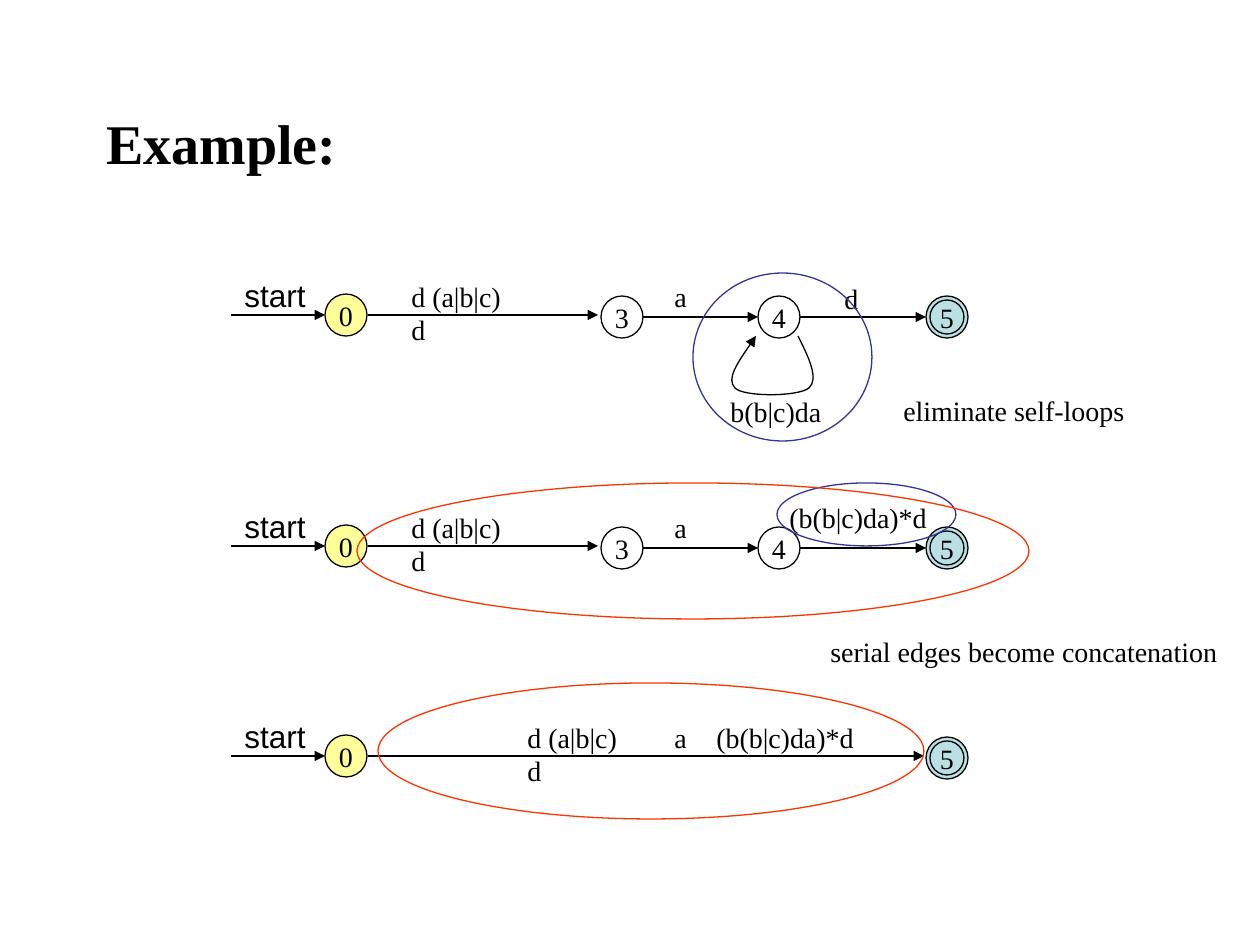
from lxml.etree import SubElement
from pptx import Presentation
from pptx.dml.color import RGBColor
from pptx.enum.shapes import MSO_CONNECTOR as CONN, MSO_SHAPE as SHAPE
from pptx.enum.text import MSO_ANCHOR as ANCHOR, MSO_AUTO_SIZE as FIT, PP_ALIGN as ALIGN
from pptx.oxml.ns import qn
from pptx.util import Inches, Pt

PX = Inches(1) // 126
THEME = dict(
    ink="000000", start="FFFF99", final="BBE0E3", loop="333399", chain="FF3300",
    serif="Times New Roman", sans="Arial", title=32, label=16, entry=18, line=0.74,
)


def px(*values):
    return [v * PX for v in values]


class Diagram:
    def __init__(self, slide, theme):
        self.s, self.t = slide, theme

    def color(self, name):
        return RGBColor.from_string(self.t[name])

    def set_text(self, sp, text, size="label", font="serif", bold=False,
                 anchor=ANCHOR.TOP, align=ALIGN.LEFT, wrap=False, fit=FIT.NONE):
        tf = sp.text_frame
        frame = dict(word_wrap=wrap, auto_size=fit, vertical_anchor=anchor)
        for key, value in frame.items():
            setattr(tf, key, value)
        p = tf.paragraphs[0]
        p.alignment = align
        r = p.add_run()
        r.text = text
        style = dict(name=self.t[font], size=Pt(self.t[size]), bold=bold)
        for key, value in style.items():
            setattr(r.font, key, value)
        r.font.color.rgb = self.color("ink")

    def text(self, x, y, w, h, text, **style):
        self.set_text(self.s.shapes.add_textbox(*px(x, y, w, h)), text, **style)

    def label(self, x, y, w, text, h=46, **style):
        self.text(x, y, w, h, text, fit=FIT.SHAPE_TO_FIT_TEXT, **style)

    def stroke(self, sp, color="ink", arrow=False):
        sp.line.color.rgb = self.color(color)
        sp.line.width = Pt(self.t["line"])
        if arrow:
            ln = sp._element.spPr.find(qn("a:ln"))
            SubElement(ln, qn("a:tailEnd"), type="triangle")

    def ellipse(self, x, y, w, h, line="ink", fill=None):
        sp = self.s.shapes.add_shape(SHAPE.OVAL, *px(x, y, w, h))
        sp.shadow.inherit = False
        if fill:
            sp.fill.solid()
            sp.fill.fore_color.rgb = self.color(fill)
        else:
            sp.fill.background()
        self.stroke(sp, line)
        return sp

    def node(self, x, y, text, fill=None):
        sp = self.ellipse(x, y, 42, 42, fill=fill)
        self.set_text(sp, text, anchor=ANCHOR.MIDDLE, align=ALIGN.CENTER)

    def final(self, x, y, text):
        self.node(x, y, text, "final")
        self.ellipse(x + 4, y + 4, 34, 34)

    def edge(self, x1, x2, y):
        c = self.s.shapes.add_connector(CONN.STRAIGHT, *px(x1, y, x2, y))
        self.stroke(c, arrow=True)
        SubElement(c._element.spPr, qn("a:effectLst"))

    def curve(self, start, *points):
        builder = self.s.shapes.build_freeform(*start, scale=float(PX))
        builder.add_line_segments(points, close=False)
        sp = builder.convert_to_shape()
        # Each three points become one Bezier segment
        outline = next(sp._element.iter(qn("a:path")))
        segments = outline.findall(qn("a:lnTo"))
        for i in range(0, len(segments), 3):
            bezier = SubElement(outline, qn("a:cubicBezTo"))
            for seg in segments[i:i + 3]:
                bezier.append(seg[0])
                outline.remove(seg)
        sp.shadow.inherit = False
        sp.fill.background()
        self.stroke(sp, arrow=True)


prs = Presentation()
prs.slide_width, prs.slide_height = Inches(10), Inches(7.5)
d = Diagram(prs.slides.add_slide(prs.slide_layouts[6]), THEME)

# Title
d.text(94, 63, 1071, 158, "Example:", size="title", bold=True,
       anchor=ANCHOR.MIDDLE, wrap=True)

# Three automata: top, x of first label, last label with its place, middle states
PREFIX, STAR = "d (a|b|c) d", "(b(b|c)da)*d"
ROWS = [
    (294, 399, ("d", 832, 275, 39), True),
    (525, 399, (STAR, 777, 494, 163), True),
    (735, 515, (STAR, 704, 714, 163), False),
]
for top, prefix_x, (last, last_x, last_y, last_w), middle in ROWS:
    d.edge(231, 325, top + 21)
    d.label(232, top - 24, 86, "start", h=50, size="entry", font="sans")
    d.node(325, top, "0", "start")
    if middle:
        d.node(601, top + 2, "3")
        d.node(758, top + 2, "4")
        d.edge(368, 598, top + 21)
        d.edge(643, 758, top + 23)
        d.edge(800, 926, top + 23)
    else:
        d.edge(368, 924, top + 21)
    d.final(926, top + 2, "5")
    d.label(prefix_x, top - 21, 135, PREFIX)
    d.label(662, top - 21, 38, "a")
    d.label(last_x, last_y, last_w, last)

# Self-loop on state 4
d.curve((798, 336), (809, 358), (819, 379), (809, 388),
        (798, 397), (743, 397), (735, 388),
        (726, 379), (741, 358), (756, 336))
d.label(718, 388, 116, "b(b|c)da")

# Highlights
for x, y, w, h, color in [
    (693, 273, 179, 168, "loop"), (777, 483, 179, 63, "loop"),
    (357, 483, 672, 136, "chain"), (378, 683, 546, 136, "chain"),
]:
    d.ellipse(x, y, w, h, line=color)

# Step notes
d.label(891, 387, 246, "eliminate self-loops")
d.label(818, 628, 412, "serial edges become concatenation")

prs.save("out.pptx")
